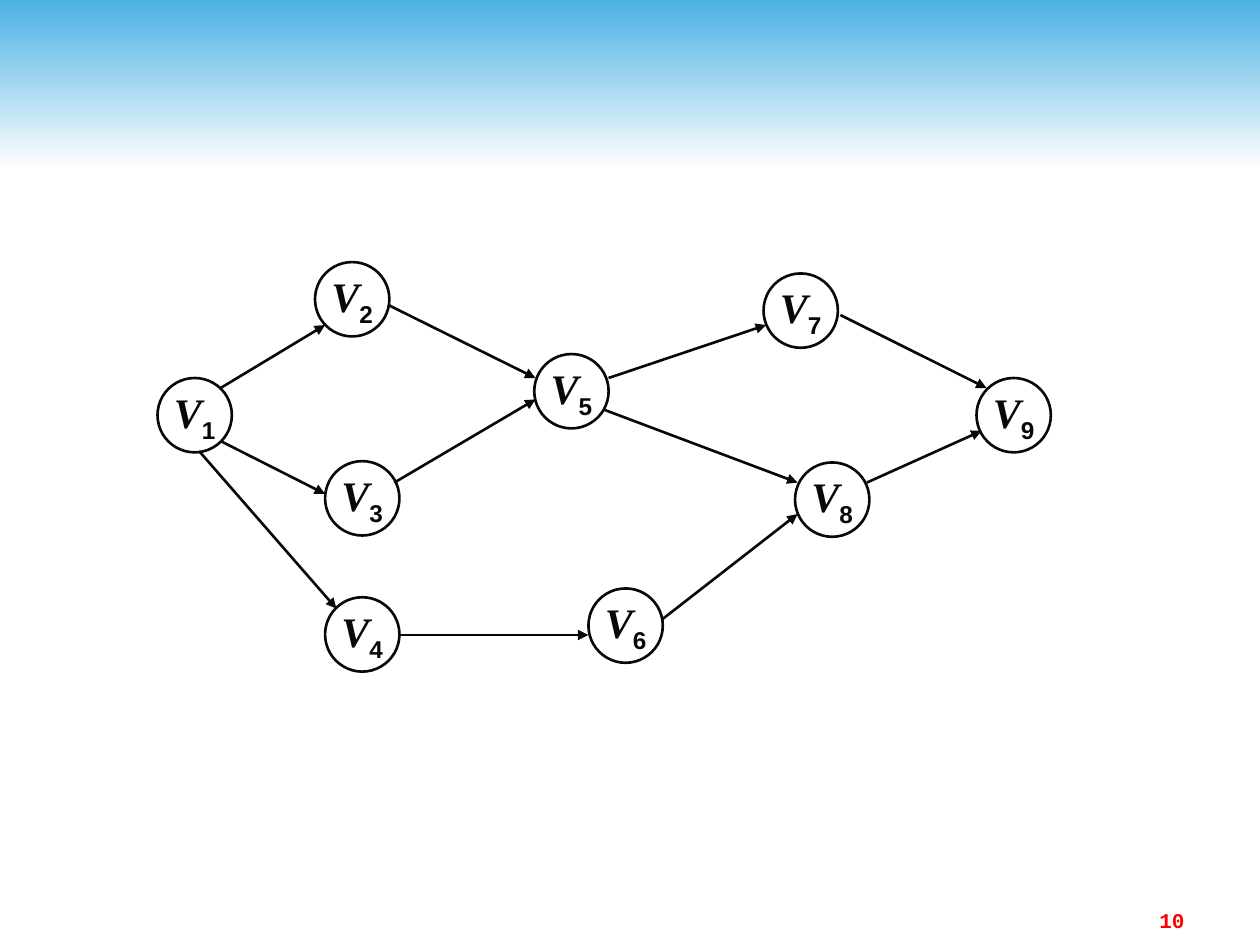
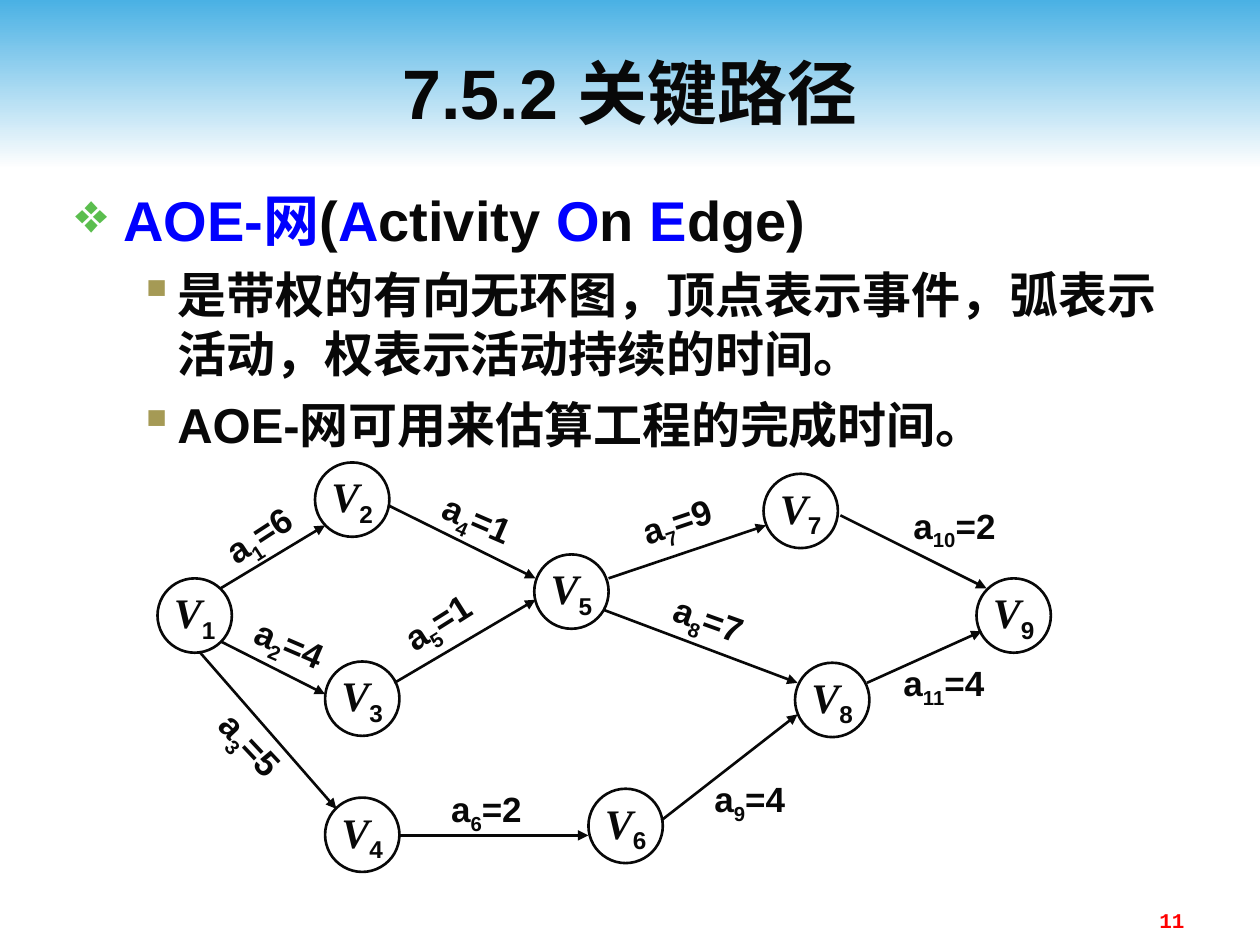
from lxml import etree
from pptx import Presentation
from pptx.dml.color import RGBColor
from pptx.enum.shapes import MSO_CONNECTOR, MSO_SHAPE
from pptx.enum.text import MSO_ANCHOR, PP_ALIGN
from pptx.oxml.ns import qn
from pptx.util import Inches, Pt

OVAL, RECT, STRAIGHT = MSO_SHAPE.OVAL, MSO_SHAPE.RECTANGLE, MSO_CONNECTOR.STRAIGHT
TOP, MIDDLE = MSO_ANCHOR.TOP, MSO_ANCHOR.MIDDLE
LEFT, CENTER, RIGHT = PP_ALIGN.LEFT, PP_ALIGN.CENTER, PP_ALIGN.RIGHT

# Events: top left of each circle, in inches from the graph's corner
EVENTS = [(0, 0.92), (1.25, 0), (1.33, 1.58), (1.33, 2.66), (2.99, 0.73),
          (3.42, 2.59), (4.81, 0.09), (5.06, 1.59), (6.5, 0.92)]

# Activities: arrow start, arrow end, duration, label corner, label rotation
ACTIVITIES = [
    ((0.5, 1), (1.33, 0.5), 6, (0.51, 0.33), -33.1),
    ((0.5, 1.42), (1.33, 1.84), 4, (0.75, 1.32), 23.3),
    ((0.33, 1.5), (1.42, 2.75), 5, (0.4, 2.16), 46.9),
    ((1.83, 0.34), (3, 0.92), 1, (2.24, 0.33), 23.5),
    ((1.88, 1.75), (3, 1.09), 1, (1.93, 1.02), -32.4),
    ((1.92, 2.96), (3.42, 2.96), 2, (2.33, 2.58), 0),
    ((3.58, 0.92), (4.83, 0.5), 9, (3.84, 0.25), -18.6),
    ((3.54, 1.17), (5.08, 1.75), 7, (4.08, 1.12), 19.7),
    ((4, 2.84), (5.08, 2), 4, (4.42, 2.5), 0),
    ((5.42, 0.42), (6.58, 1), 2, (6, 0.33), 0),
    ((5.63, 1.75), (6.54, 1.34), 4, (5.92, 1.58), 0),
]

# Body: level, then (text, style) runs
BODY = [
    (0, [("AOE-网", "key"), ("(", "lead"), ("A", "key"), ("ctivity ", "lead"),
         ("O", "key"), ("n ", "lead"), ("E", "key"), ("dge)", "lead")]),
    (1, [("是带权的有向无环图，顶点表示事件，弧表示活动，权表示活动持续的时间。", "detail")]),
    (1, [("AOE-网可用来估算工程的完成时间。", "detail")]),
]

SLIDES = [
    {"number": 10, "graph_top": 2.08},
    {"number": 11, "graph_top": 3.67, "title": "7.5.2 关键路径", "body": BODY, "durations": True},
]

INK = "080808"
THEME = {
    "band": ("4AB1E4", "FEFEFE"),
    "line": 1.5,
    "styles": {  # size, colour, font, italic, baseline
        "title": (40, INK, "Arial", False, 0),
        "key": (32, "0000FF", "Arial", False, 0),
        "lead": (32, INK, "Arial", False, 0),
        "detail": (28, INK, "Arial", False, 0),
        "event": (24, INK, "Times New Roman", True, 0),
        "event_index": (24, INK, "Arial", False, -25000),
        "activity": (20, INK, "Arial", False, 0),
        "activity_index": (20, INK, "Arial", False, -25000),
        "number": (12, "FF0000", "Courier New", False, 0),
    },
    "levels": [  # bullet, its colour, margin, hanging indent, space before
        ("❖", "5BBE4E", 0.38, 0.38, 8),
        ("▪", "A59A55", 0.81, 0.31, 7),
    ],
}
WIDTH, HEIGHT = 10, 7.5
MARGIN = WIDTH * 0.05
GRAPH_LEFT = WIDTH / 8
EVENT_SIZE = 0.59
LABEL_SIZE = (0.83, 0.38)


def box(left, top, width, height):
    return [Inches(v) for v in (left, top, width, height)]


def add_runs(paragraph, runs):
    for text, style in runs:
        size, color, font, italic, baseline = THEME["styles"][style]
        run = paragraph.add_run()
        run.text = text
        look = {"size": Pt(size), "name": font, "bold": True, "italic": italic}
        for key, value in look.items():
            setattr(run.font, key, value)
        run.font.color.rgb = RGBColor.from_string(color)
        if baseline:
            run.font._element.set("baseline", str(baseline))


def set_text(shape, runs, align=LEFT, anchor=TOP, wrap=True, inset=(0.1, 0.05)):
    frame = shape.text_frame
    side, edge = map(Inches, inset)
    layout = {"word_wrap": wrap, "vertical_anchor": anchor, "margin_left": side,
              "margin_right": side, "margin_top": edge, "margin_bottom": edge}
    for key, value in layout.items():
        setattr(frame, key, value)
    frame.paragraphs[0].alignment = align
    add_runs(frame.paragraphs[0], runs)


def add_band(slide):
    band = slide.shapes.add_shape(RECT, *box(0, 0, WIDTH, 1.33))
    band.shadow.inherit = False
    band.line.fill.background()
    band.fill.gradient()
    band.fill.gradient_angle = 270
    for stop, position, color in zip(band.fill.gradient_stops, (0, 1), THEME["band"]):
        stop.position = position
        stop.color.rgb = RGBColor.from_string(color)


def set_bullet(paragraph, level):
    bullet, color, margin, hang, before = THEME["levels"][level]
    paragraph.level = level
    paragraph.space_before = Pt(before)
    props = paragraph._p.get_or_add_pPr()
    props.set("marL", str(Inches(margin)))
    props.set("indent", str(-Inches(hang)))
    etree.SubElement(etree.SubElement(props, qn("a:buClr")), qn("a:srgbClr")).set("val", color)
    etree.SubElement(props, qn("a:buChar")).set("char", bullet)


def add_body(slide, items):
    body = slide.shapes.add_textbox(*box(MARGIN, 1.42, WIDTH - 2 * MARGIN, 5.5))
    set_text(body, [])
    frame = body.text_frame
    for i, (level, runs) in enumerate(items):
        paragraph = frame.add_paragraph() if i else frame.paragraphs[0]
        set_bullet(paragraph, level)
        add_runs(paragraph, runs)


def style_line(line):
    line.width = Pt(THEME["line"])
    line.color.rgb = RGBColor.from_string(INK)


def add_arrow(shapes, start, end):
    arrow = shapes.add_connector(STRAIGHT, *box(*start, *end))
    style_line(arrow.line)
    etree.SubElement(arrow.line._get_or_add_ln(), qn("a:tailEnd")).set("type", "triangle")
    etree.SubElement(arrow._element.spPr, qn("a:effectLst"))


def add_graph(slide, graph_top, durations):
    shapes = slide.shapes.add_group_shape().shapes

    def place(point):
        return GRAPH_LEFT + point[0], graph_top + point[1]

    for index, corner in enumerate(EVENTS, 1):
        event = shapes.add_shape(OVAL, *box(*place(corner), EVENT_SIZE, EVENT_SIZE))
        event.shadow.inherit = False
        event.fill.background()
        style_line(event.line)
        set_text(event, [("V", "event"), (str(index), "event_index")], CENTER, MIDDLE, wrap=False)

    for index, (start, end, duration, corner, angle) in enumerate(ACTIVITIES, 1):
        add_arrow(shapes, place(start), place(end))
        if durations:
            label = shapes.add_textbox(*box(*place(corner), *LABEL_SIZE))
            label.rotation = angle
            set_text(label, [("a", "activity"), (str(index), "activity_index"),
                             (f"={duration}", "activity")], inset=(0, 0))


def add_slide(deck, content):
    slide = deck.slides.add_slide(deck.slide_layouts[6])
    add_band(slide)
    if "title" in content:
        title = slide.shapes.add_textbox(*box(MARGIN, 0.25, WIDTH - 2 * MARGIN, 0.95))
        set_text(title, [(content["title"], "title")], CENTER, MIDDLE)
    if "body" in content:
        add_body(slide, content["body"])
    add_graph(slide, content["graph_top"], content.get("durations", False))
    number = slide.shapes.add_textbox(*box(WIDTH - MARGIN - 2.33, 7.15, 2.33, 0.27))
    set_text(number, [(str(content["number"]), "number")], RIGHT)


def main():
    deck = Presentation()
    deck.slide_width, deck.slide_height = Inches(WIDTH), Inches(HEIGHT)
    for content in SLIDES:
        add_slide(deck, content)
    deck.save("out.pptx")


if __name__ == "__main__":
    main()
